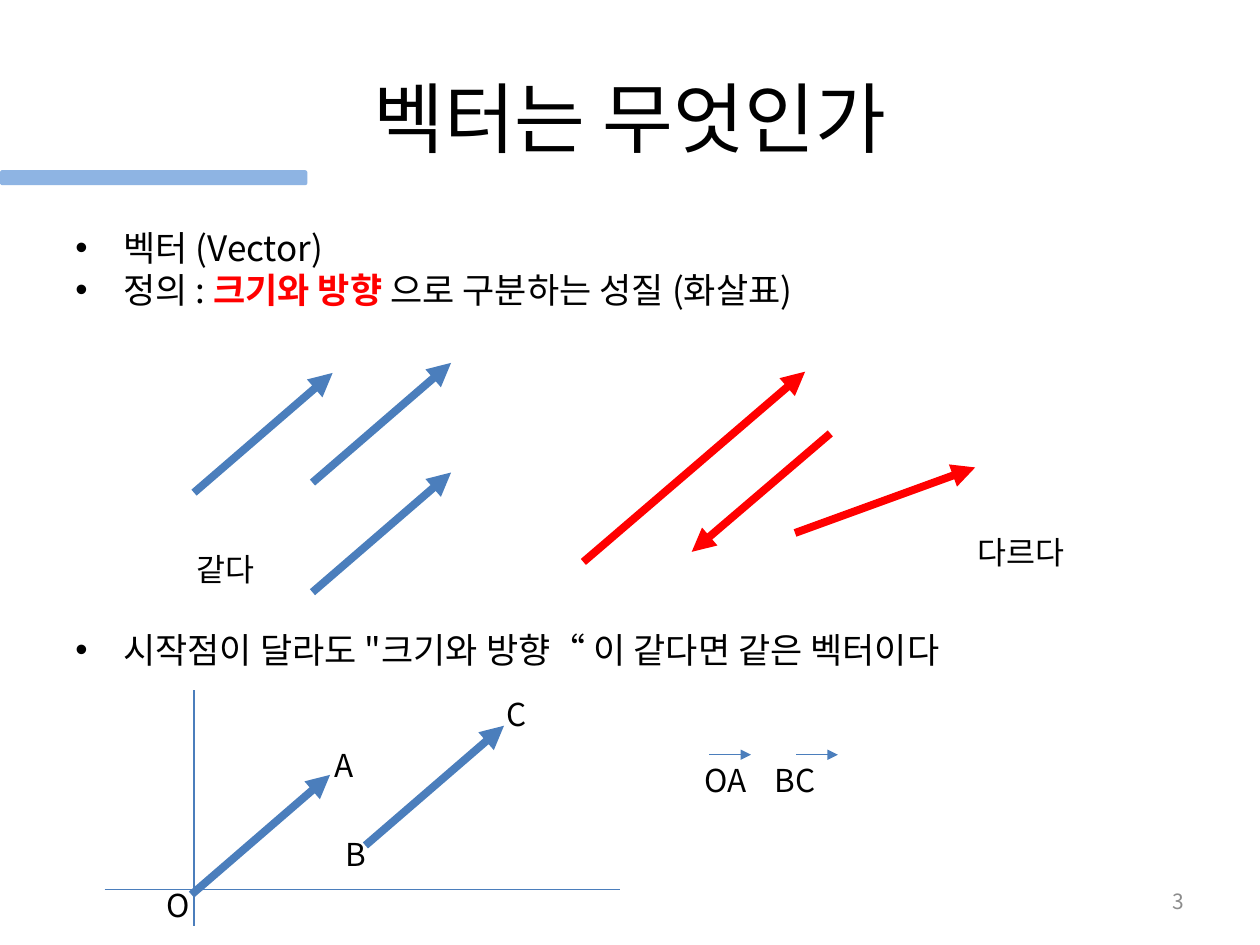
from lxml import etree
from pptx import Presentation
from pptx.dml.color import RGBColor
from pptx.enum.shapes import MSO_CONNECTOR, MSO_SHAPE
from pptx.enum.text import MSO_ANCHOR, MSO_AUTO_SIZE, PP_ALIGN
from pptx.oxml.ns import qn
from pptx.util import Inches, Pt

STRAIGHT = MSO_CONNECTOR.STRAIGHT
ROUNDED = MSO_SHAPE.ROUNDED_RECTANGLE
MIDDLE, TOP = MSO_ANCHOR.MIDDLE, MSO_ANCHOR.TOP
LEFT, CENTER, RIGHT = PP_ALIGN.LEFT, PP_ALIGN.CENTER, PP_ALIGN.RIGHT
FONT = "Noto Sans CJK KR"
BLACK, BLUE, RED, GRAY, BAR = "000000", "4B7EBC", "FF0000", "8C8C8C", "8EB4E3"
WIDTH, HEIGHT, MARGIN = 10, 7.5, 0.5
CONTENT = WIDTH - 2 * MARGIN
THICK, THIN = 4.5, 0.75

TITLE = "벡터는 무엇인가"
# Each paragraph is a list of (text, colour, bold) spans.
BULLETS = [
    (1.75, [[("벡터 (Vector)", BLACK, False)],
            [("정의 : ", BLACK, False), ("크기와 방향 ", RED, True),
             ("으로 구분하는 성질 (화살표)", BLACK, False)]]),
    (4.94, [[("시작점이 달라도 \"크기와 방향“ 이 같다면 같은 벡터이다", BLACK, False)]]),
]
LABELS = [
    ("같다", 1.46, 4.32, 0.71), ("다르다", 7.66, 4.18, 0.96),
    ("O", 1.22, 6.98, 0.4), ("A", 2.56, 5.87, 0.37),
    ("C", 3.92, 5.47, 0.36), ("B", 2.64, 6.58, 0.35),
    ("OA", 5.49, 5.99, 0.55), ("BC", 6.05, 5.99, 0.55),
]
VECTOR = (1.1, -0.95)
EQUAL_STARTS = [(1.54, 3.91), (2.48, 3.83), (2.48, 4.7), (1.52, 7.1), (2.9, 6.71)]
DIFFERENT = [((4.63, 4.46), (6.39, 2.95)), ((6.59, 3.44), (5.49, 4.38)),
             ((6.31, 4.23), (7.74, 3.71))]
AXES = [((1.54, 5.48), (1.54, 7.35)), ((0.83, 7.06), (4.92, 7.06))]
OVERLINE_STARTS, OVERLINE = [(5.63, 5.99), (6.32, 5.99)], (0.33, 0)


def color(value):
    return RGBColor.from_string(value)


def place(shape, left, top, width, height):
    shape.left, shape.top = Inches(left), Inches(top)
    shape.width, shape.height = Inches(width), Inches(height)


def add_span(para, text, size=18, fill=BLACK, bold=False):
    span = para.add_run()
    span.text = text
    span.font.name, span.font.size, span.font.bold = FONT, Pt(size), bold
    span.font.color.rgb = color(fill)
    east_asian = etree.SubElement(span._r.get_or_add_rPr(), qn("a:ea"))
    east_asian.set("typeface", FONT)


def add_text(page, text, area, align=LEFT, anchor=TOP, wrap=True, **style):
    box = page.shapes.add_textbox(*map(Inches, area))
    frame = box.text_frame
    frame.word_wrap, frame.vertical_anchor = wrap, anchor
    if not wrap:
        frame.auto_size = MSO_AUTO_SIZE.SHAPE_TO_FIT_TEXT
    para = frame.paragraphs[0]
    para.alignment = align
    if text:
        add_span(para, text, **style)
    return frame


def add_bullets(page, top, paragraphs):
    frame = add_text(page, "", (MARGIN, top, CONTENT, 1.05))
    for index, spans in enumerate(paragraphs):
        para = frame.add_paragraph() if index else frame.paragraphs[0]
        properties = para._p.get_or_add_pPr()
        properties.set("marL", str(Inches(0.38)))
        properties.set("indent", str(-Inches(0.38)))
        etree.SubElement(properties, qn("a:buFont")).set("typeface", "Arial")
        etree.SubElement(properties, qn("a:buChar")).set("char", "•")
        for text, fill, bold in spans:
            add_span(para, text, size=20, fill=fill, bold=bold)


def add_line(page, start, end, fill=BLUE, weight=THIN, arrow=True):
    line = page.shapes.add_connector(STRAIGHT, *map(Inches, (*start, *end)))
    line.line.color.rgb, line.line.width = color(fill), Pt(weight)
    if arrow:
        etree.SubElement(line.line._get_or_add_ln(), qn("a:tailEnd")).set("type", "triangle")
    etree.SubElement(line._element.spPr, qn("a:effectLst"))


def shifted(start, step):
    return start[0] + step[0], start[1] + step[1]


def main():
    deck = Presentation()
    deck.slide_width, deck.slide_height = Inches(WIDTH), Inches(HEIGHT)
    page = deck.slides.add_slide(deck.slide_layouts[5])

    title = page.shapes.title
    place(title, MARGIN, 0.3, CONTENT, 1.25)
    title.text_frame.vertical_anchor = MIDDLE
    heading = title.text_frame.paragraphs[0]
    heading.alignment = CENTER
    add_span(heading, TITLE, size=44)

    bar = page.shapes.add_shape(ROUNDED, 0, Inches(1.35), Inches(2.44), Inches(0.12))
    bar.shadow.inherit = False
    bar.fill.solid()
    bar.fill.fore_color.rgb = color(BAR)
    bar.line.fill.background()

    for top, paragraphs in BULLETS:
        add_bullets(page, top, paragraphs)
    for start, end in AXES:
        add_line(page, start, end, arrow=False)
    for start in EQUAL_STARTS:
        add_line(page, start, shifted(start, VECTOR), weight=THICK)
    for start, end in DIFFERENT:
        add_line(page, start, end, fill=RED, weight=THICK)
    for start in OVERLINE_STARTS:
        add_line(page, start, shifted(start, OVERLINE))
    for text, left, top, width in LABELS:
        add_text(page, text, (left, top, width, 0.4), wrap=False)
    add_text(page, "3", (7.17, 6.95, 2.33, 0.4), align=RIGHT, anchor=MIDDLE,
             size=12, fill=GRAY)
    deck.save("out.pptx")


if __name__ == "__main__":
    main()
